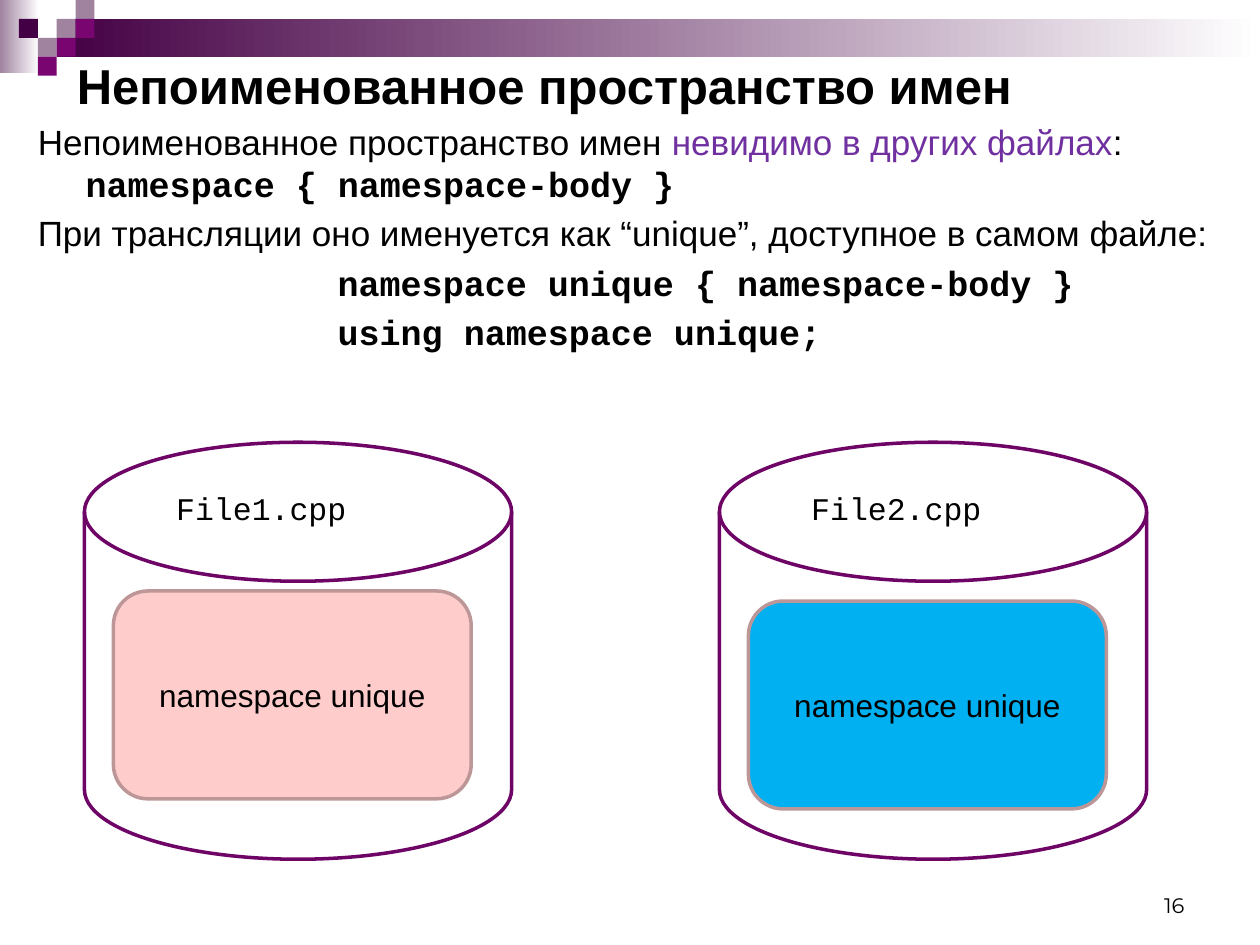
from dataclasses import dataclass

from pptx import Presentation
from pptx.dml.color import RGBColor
from pptx.enum.shapes import MSO_SHAPE
from pptx.enum.text import MSO_ANCHOR, MSO_AUTO_SIZE, PP_ALIGN
from pptx.util import Inches, Pt


@dataclass
class Theme:
    black: str = "000000"
    white: str = "FFFFFF"
    dark: str = "440044"
    plum: str = "790571"
    mauve: str = "9F839F"
    accent: str = "7030A0"
    disk_line: str = "6D0466"
    box_line: str = "BD9797"
    pink: str = "FFCCCC"
    blue: str = "00B0F0"
    sans: str = "Arial"
    mono: str = "Courier New"
    number_font: str = "Montserrat"
    title_size: int = 28
    body_size: int = 20
    label_size: int = 18
    number_size: int = 12


theme = Theme()


def add_run(paragraph, text, size, font=theme.sans, color=theme.black, bold=False):
    run = paragraph.add_run()
    run.text = text
    run.font.size = Pt(size)
    run.font.name = font
    run.font.bold = bold
    run.font.color.rgb = RGBColor.from_string(color)


def add_block(slide, kind, left, top, width, height, fill, line=None):
    shape = slide.shapes.add_shape(
        kind, Inches(left), Inches(top), Inches(width), Inches(height))
    shape.shadow.inherit = False
    if isinstance(fill, tuple):
        shape.fill.gradient()
        shape.fill.gradient_angle = 0
        for stop, color, position in zip(shape.fill.gradient_stops, fill, (0, 1)):
            stop.color.rgb = RGBColor.from_string(color)
            stop.position = position
    else:
        shape.fill.solid()
        shape.fill.fore_color.rgb = RGBColor.from_string(fill)
    if line:
        shape.line.color.rgb = RGBColor.from_string(line)
        shape.line.width = Pt(2)
    else:
        shape.line.fill.background()
    return shape


presentation = Presentation()
presentation.slide_width = Inches(10)
presentation.slide_height = Inches(7.5)
slide = presentation.slides.add_slide(presentation.slide_layouts[1])

# Header bands and mosaic
add_block(slide, MSO_SHAPE.RECTANGLE, 0, 0, 0.31, 0.58, (theme.mauve, theme.white))
add_block(slide, MSO_SHAPE.RECTANGLE, 0.45, 0.15, 9.55, 0.3, (theme.dark, theme.white))
tile = 0.15
for column, row, color in [
    (3, 1, theme.mauve), (4, 0, theme.mauve), (4, 1, theme.plum),
    (2, 2, theme.mauve), (1, 1, theme.dark), (3, 2, theme.plum),
    (2, 3, theme.plum),
]:
    add_block(slide, MSO_SHAPE.RECTANGLE, column * tile, row * tile, tile, tile, color)

# Title
title = slide.shapes.title
title.left, title.top, title.width, title.height = (
    Inches(value) for value in (0.51, 0.44, 9, 0.46))
title.text_frame.auto_size = MSO_AUTO_SIZE.NONE
title.text_frame.vertical_anchor = MSO_ANCHOR.MIDDLE
paragraph = title.text_frame.paragraphs[0]
paragraph.alignment = PP_ALIGN.LEFT
add_run(paragraph, "Непоименованное пространство имен", theme.title_size, bold=True)

# Body: each paragraph has a left margin, a first-line indent and its runs
body = slide.placeholders[1]
body.left, body.top, body.width, body.height = (
    Inches(value) for value in (0.2, 0.91, 9.8, 6.38))
body.text_frame.auto_size = MSO_AUTO_SIZE.NONE
plain = {}
code = {"font": theme.mono, "bold": True}
line_break = None
body_paragraphs = [
    (0.38, -0.38, [
        ("Непоименованное пространство имен ", plain),
        ("невидимо в других файлах", {"color": theme.accent}),
        (":", plain),
        (line_break, plain),
        ("namespace { namespace-body }", code),
    ]),
    (0.38, -0.38, [
        ("При трансляции оно именуется как “unique”, доступное в самом файле:", plain),
    ]),
    (2.38, 0, [("namespace unique { namespace-body }", code)]),
    (2.38, 0, [("using namespace unique;", code)]),
]
for index, (margin, indent, runs) in enumerate(body_paragraphs):
    frame = body.text_frame
    paragraph = frame.paragraphs[0] if index == 0 else frame.add_paragraph()
    paragraph.space_before = Pt(4)
    properties = paragraph._p.get_or_add_pPr()
    properties.set("marL", str(Inches(margin)))
    properties.set("indent", str(Inches(indent)))
    properties.append(properties.makeelement(
        "{http://schemas.openxmlformats.org/drawingml/2006/main}buNone", {}))
    for text, style in runs:
        if text is line_break:
            paragraph.add_line_break()
        else:
            add_run(paragraph, text, theme.body_size, **style)

# Two source files, each holding its own namespace
for left, file_name, box_top, box_fill in [
    (0.67, "File1.cpp", 4.69, theme.pink),
    (5.71, "File2.cpp", 4.77, theme.blue),
]:
    add_block(slide, MSO_SHAPE.FLOWCHART_MAGNETIC_DISK, left, 3.51, 3.39, 3.31,
              theme.white, theme.disk_line)
    label = slide.shapes.add_textbox(
        Inches(left + 0.63), Inches(3.83), Inches(2.13), Inches(0.4))
    label.text_frame.word_wrap = True
    add_run(label.text_frame.paragraphs[0], file_name, theme.label_size, theme.mono)
    box = add_block(slide, MSO_SHAPE.FLOWCHART_ALTERNATE_PROCESS, left + 0.23, box_top,
                    2.84, 1.65, box_fill, theme.box_line)
    box.text_frame.vertical_anchor = MSO_ANCHOR.MIDDLE
    paragraph = box.text_frame.paragraphs[0]
    paragraph.alignment = PP_ALIGN.CENTER
    add_run(paragraph, "namespace unique", theme.label_size)

# Slide number
number = slide.shapes.add_textbox(Inches(7.17), Inches(6.83), Inches(2.33), Inches(0.5))
number.text_frame.word_wrap = True
number.text_frame.vertical_anchor = MSO_ANCHOR.BOTTOM
paragraph = number.text_frame.paragraphs[0]
paragraph.alignment = PP_ALIGN.RIGHT
add_run(paragraph, "16", theme.number_size, theme.number_font)

presentation.save("out.pptx")
